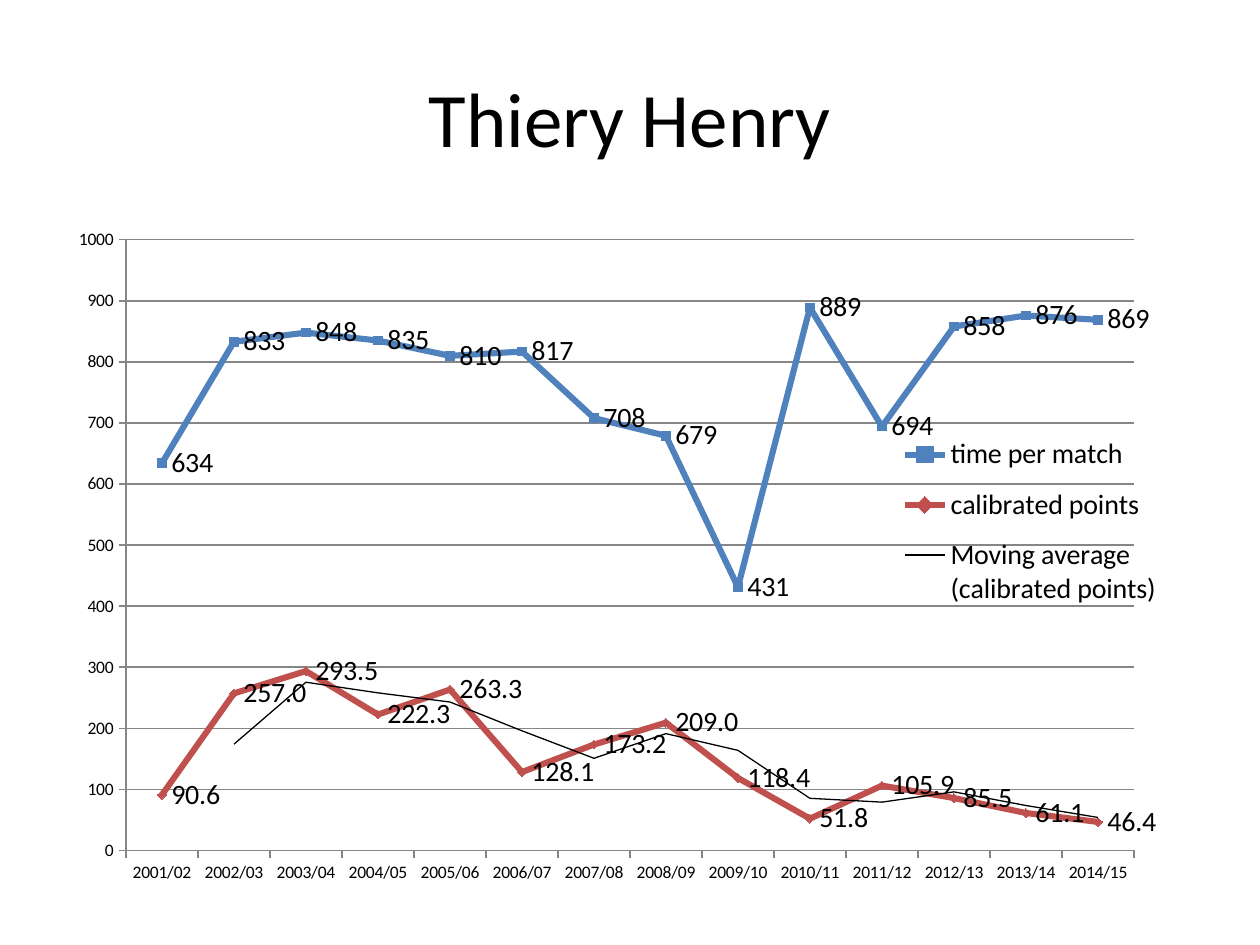
from dataclasses import dataclass

import pptx
import pptx.chart.data
import pptx.dml.color
import pptx.enum.chart
import pptx.enum.text
import pptx.oxml
import pptx.oxml.ns
import pptx.util
from pptx.util import Inches

FONT = "Calibri"
BLACK = pptx.dml.color.RGBColor(0x00, 0x00, 0x00)
GRAY = pptx.dml.color.RGBColor(0x86, 0x86, 0x86)
BLUE = pptx.dml.color.RGBColor(0x4F, 0x81, 0xBD)
RED = pptx.dml.color.RGBColor(0xC0, 0x50, 0x4D)

SEASONS = [f"{year}/{(year + 1) % 100:02d}" for year in range(2001, 2015)]


@dataclass
class Measure:
    name: str
    values: list[float]
    color: pptx.dml.color.RGBColor
    marker: pptx.enum.chart.XL_MARKER_STYLE
    number_format: str


MEASURES = [
    Measure("time per match",
            [634, 833, 848, 835, 810, 817, 708, 679, 431, 889, 694, 858, 876, 869],
            BLUE, pptx.enum.chart.XL_MARKER_STYLE.SQUARE, "0"),
    Measure("calibrated points",
            [90.6, 257, 293.5, 222.3, 263.3, 128.1, 173.2, 209, 118.4, 51.8,
             105.9, 85.5, 61.1, 46.4],
            RED, pptx.enum.chart.XL_MARKER_STYLE.DIAMOND, "0.0"),
]


def chart_xml(text: str):
    namespace = pptx.oxml.ns.nsdecls("c", "a")
    return pptx.oxml.parse_xml(text.replace(">", f" {namespace}>", 1))


def set_font(font, size: float) -> None:
    font.name = FONT
    font.size = pptx.util.Pt(size)
    font.color.rgb = BLACK


def manual_layout(x: float, y: float, width: float, height: float, inner: bool = False):
    target = '<c:layoutTarget val="inner"/>' if inner else ""
    return chart_xml(
        f'<c:layout><c:manualLayout>{target}<c:xMode val="edge"/><c:yMode val="edge"/>'
        f'<c:x val="{x}"/><c:y val="{y}"/><c:w val="{width}"/><c:h val="{height}"/>'
        "</c:manualLayout></c:layout>")


def style_series(series, measure: Measure) -> None:
    series.smooth = False
    series.format.line.color.rgb = measure.color
    series.format.line.width = pptx.util.Pt(3.5)
    series.marker.style = measure.marker
    series.marker.size = 5
    series.marker.format.fill.solid()
    series.marker.format.fill.fore_color.rgb = measure.color
    series.marker.format.line.color.rgb = measure.color
    labels = series.data_labels
    labels.show_value = True
    labels.number_format = measure.number_format
    labels.number_format_is_linked = False
    labels.position = pptx.enum.chart.XL_LABEL_POSITION.RIGHT
    set_font(labels.font, 16)


def add_moving_average(series, period: int) -> None:
    trend = chart_xml(
        f"<c:trendline><c:name>Moving average ({series.name})</c:name>"
        f'<c:spPr><a:ln w="9525"><a:solidFill><a:srgbClr val="{BLACK}"/></a:solidFill></a:ln></c:spPr>'
        f'<c:trendlineType val="movingAvg"/><c:period val="{period}"/>'
        '<c:dispRSqr val="0"/><c:dispEq val="0"/></c:trendline>')
    series._element.find(pptx.oxml.ns.qn("c:cat")).addprevious(trend)


def style_axis(axis) -> None:
    axis.major_tick_mark = pptx.enum.chart.XL_TICK_MARK.OUTSIDE
    axis.minor_tick_mark = pptx.enum.chart.XL_TICK_MARK.NONE
    axis.format.line.color.rgb = GRAY
    set_font(axis.tick_labels.font, 10)


presentation = pptx.Presentation()
presentation.slide_width = Inches(10)
presentation.slide_height = Inches(7.5)
slide = presentation.slides.add_slide(presentation.slide_layouts[6])

# Title
title = slide.shapes.add_textbox(Inches(0.5), Inches(0.3), Inches(9), Inches(1.25))
title.text_frame.word_wrap = True
title.text_frame.vertical_anchor = pptx.enum.text.MSO_ANCHOR.MIDDLE
paragraph = title.text_frame.paragraphs[0]
paragraph.alignment = pptx.enum.text.PP_ALIGN.CENTER
run = paragraph.add_run()
run.text = "Thiery Henry"
set_font(run.font, 44)

# Chart data
chart_data = pptx.chart.data.CategoryChartData()
chart_data.categories = SEASONS
for measure in MEASURES:
    chart_data.add_series(measure.name, measure.values, measure.number_format)
chart = slide.shapes.add_chart(
    pptx.enum.chart.XL_CHART_TYPE.LINE_MARKERS,
    Inches(0.5), Inches(1.75), Inches(9.25), Inches(5.5), chart_data).chart
chart.has_title = False
set_font(chart.font, 10)

# Series and trend
chart.plots[0].vary_by_categories = False
for series, measure in zip(chart.plots[0].series, MEASURES):
    style_series(series, measure)
add_moving_average(chart.plots[0].series[1], 2)

# Axes
for axis in (chart.category_axis, chart.value_axis):
    style_axis(axis)
value_axis = chart.value_axis
value_axis.minimum_scale = 0
value_axis.maximum_scale = 1000
value_axis.major_unit = 100
value_axis.tick_labels.number_format = "0"
value_axis.tick_labels.number_format_is_linked = False
value_axis.has_major_gridlines = True
value_axis.major_gridlines.format.line.color.rgb = GRAY

# Plot area and legend positions
plot_area = chart._chartSpace.chart.plotArea
for layout in plot_area.findall(pptx.oxml.ns.qn("c:layout")):
    plot_area.remove(layout)
plot_area.insert(0, manual_layout(0.054, 0.028, 0.865, 0.881, inner=True))

chart.has_legend = True
legend = chart.legend
legend.position = pptx.enum.chart.XL_LEGEND_POSITION.RIGHT
legend.include_in_layout = False
set_font(legend.font, 16)
legend_element = legend._element
for layout in legend_element.findall(pptx.oxml.ns.qn("c:layout")):
    legend_element.remove(layout)
legend_element.find(pptx.oxml.ns.qn("c:legendPos")).addnext(
    manual_layout(0.69, 0.29, 0.28, 0.29))

presentation.save("out.pptx")
